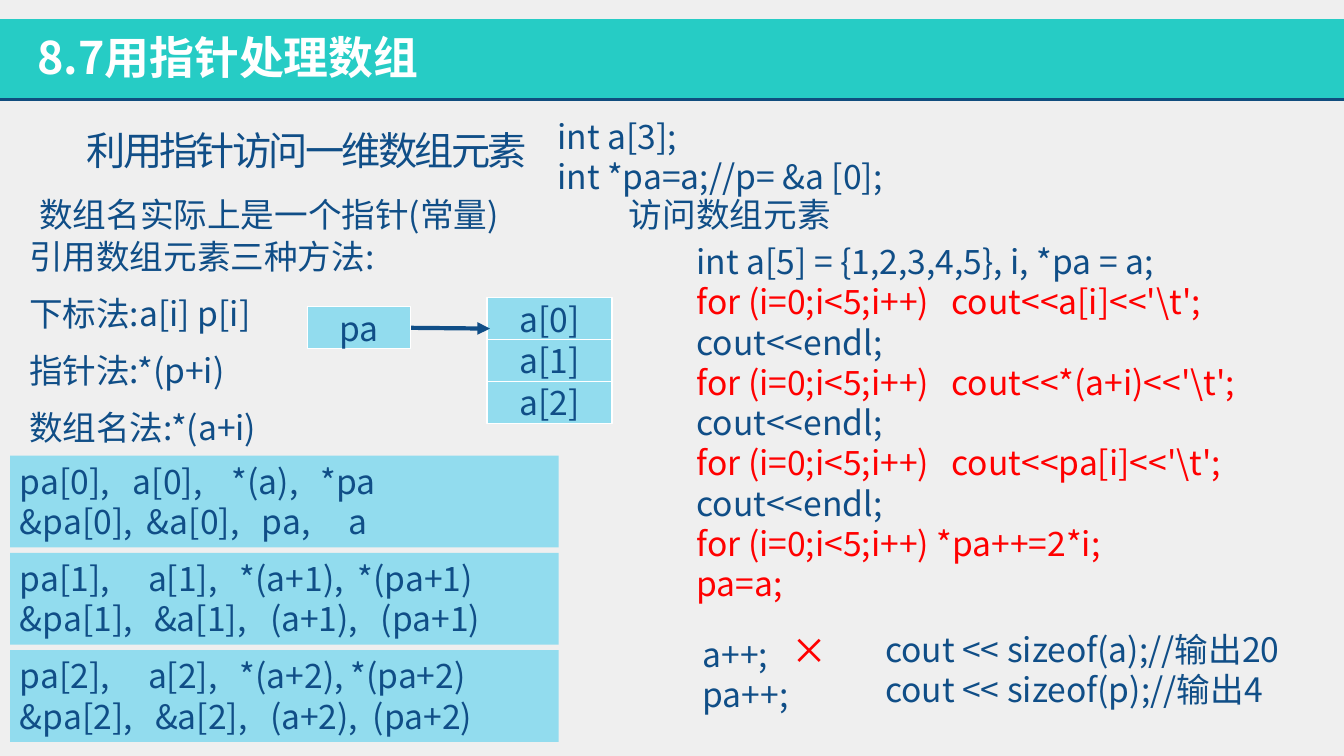
from dataclasses import dataclass

from lxml import etree
from pptx import Presentation
from pptx.dml.color import RGBColor
from pptx.enum import shapes, text
from pptx.oxml import ns
from pptx.util import Inches, Pt

SANS = "Noto Sans CJK JP"
NAVY = "104E87"
RED = "FF0000"
WHITE = "FFFFFF"
SKY = "92DCEE"


@dataclass
class Line:
    words: str
    color: str = NAVY
    tabs: tuple[float, ...] = ()
    before: float = 0
    after: float = 0


@dataclass
class Block:
    left: float
    top: float
    width: float
    height: float
    lines: list[Line]
    fill: str = ""
    border: str = ""
    centered: bool = False
    size: float = 24
    font: str = SANS
    bold: bool = False
    indent: float = 0
    spacing: int = 0


def rgb(value: str) -> RGBColor:
    return RGBColor.from_string(value)


def write_line(paragraph, line: Line, block: Block) -> None:
    paragraph.text = line.words
    properties = paragraph._p.get_or_add_pPr()
    if block.indent:
        properties.set("marL", str(Inches(block.indent)))
        properties.set("indent", "0")
    if line.tabs:
        stops = etree.SubElement(properties, ns.qn("a:tabLst"))
        for stop in line.tabs:
            etree.SubElement(stops, ns.qn("a:tab"), pos=str(Inches(stop)), algn="l")
    paragraph.alignment = text.PP_ALIGN.CENTER if block.centered else text.PP_ALIGN.LEFT
    if line.before:
        paragraph.space_before = Pt(line.before)
    if line.after:
        paragraph.space_after = Pt(line.after)
    paragraph.font.size = Pt(block.size)
    paragraph.font.bold = block.bold
    paragraph.font.color.rgb = rgb(line.color)
    paragraph.font.name = block.font
    defaults = properties.find(ns.qn("a:defRPr"))
    etree.SubElement(defaults, ns.qn("a:ea"), typeface=block.font)
    if block.spacing:
        defaults.set("spc", str(block.spacing))


def draw_block(slide, block: Block) -> None:
    place = [Inches(n) for n in (block.left, block.top, block.width, block.height)]
    if block.fill:
        shape = slide.shapes.add_shape(shapes.MSO_SHAPE.RECTANGLE, *place)
        shape.shadow.inherit = False
        shape.fill.solid()
        shape.fill.fore_color.rgb = rgb(block.fill)
        if block.border:
            shape.line.color.rgb = rgb(block.border)
            shape.line.width = Pt(1)
        else:
            shape.line.fill.background()
    else:
        shape = slide.shapes.add_textbox(*place)
    frame = shape.text_frame
    frame.word_wrap = not block.centered
    frame.vertical_anchor = text.MSO_ANCHOR.MIDDLE if block.centered else text.MSO_ANCHOR.TOP
    for index, line in enumerate(block.lines):
        paragraph = frame.add_paragraph() if index else frame.paragraphs[0]
        write_line(paragraph, line, block)


def draw_line(slide, start: tuple[float, float], end: tuple[float, float],
              color: str, width: float, arrow: bool = False) -> None:
    ends = [Inches(n) for n in (*start, *end)]
    connector = slide.shapes.add_connector(shapes.MSO_CONNECTOR.STRAIGHT, *ends)
    connector.line.color.rgb = rgb(color)
    connector.line.width = Pt(width)
    if arrow:
        etree.SubElement(connector.line._get_or_add_ln(), ns.qn("a:tailEnd"), type="triangle")
    etree.SubElement(connector._element.spPr, ns.qn("a:effectLst"))


def memory_cell(label: str, left: float, top: float, width: float) -> Block:
    return Block(left, top, width, 0.42, [Line(label)], SKY, WHITE, centered=True)


def main() -> None:
    deck = Presentation()
    deck.slide_width, deck.slide_height = Inches(13.33), Inches(7.5)
    slide = deck.slides.add_slide(deck.slide_layouts[6])
    slide.background.fill.solid()
    slide.background.fill.fore_color.rgb = rgb("EFEFEF")

    draw_block(slide, Block(0, 0.19, 13.33, 0.8, [], fill="26CCC5"))
    draw_line(slide, (0, 0.99), (13.33, 0.99), "104D7E", 2)

    headings = [
        Block(0.27, 0.25, 8.78, 0.64, [Line("8.7用指针处理数组", WHITE)], size=32, bold=True),
        Block(0.27, 1.2, 5.26, 0.57, [Line("利用指针访问一维数组元素")],
              size=28, font="Comic Neue", indent=0.49, spacing=-190),
        Block(0.29, 1.87, 5.52, 0.5, [Line("数组名实际上是一个指针(常量)")]),
        Block(5.43, 1.1, 5.9, 0.91, [Line("int a[3];"), Line("int *pa=a;//p= &a [0];")]),
    ]

    equivalents = [
        [Line("pa[0],\ta[0],\t*(a),\t*pa", tabs=(1.12, 2.1, 2.98)),
         Line("&pa[0],\t&a[0],\tpa,\ta", tabs=(1.26, 2.4, 3.26))],
        [Line("pa[1],\ta[1],\t*(a+1),\t*(pa+1)", tabs=(1.27, 2.18, 3.35)),
         Line("&pa[1],\t&a[1],\t(a+1),\t(pa+1)", tabs=(1.33, 2.48, 3.58))],
        [Line("pa[2],\ta[2],\t*(a+2),\t*(pa+2)", tabs=(1.27, 2.18, 3.28)),
         Line("&pa[2],\t&a[2],\t(a+2),\t(pa+2)", tabs=(1.34, 2.48, 3.5))],
    ]
    equivalent_blocks = [Block(0.1, 4.52 + 0.965 * row, 5.44, 0.91, lines, SKY)
                         for row, lines in enumerate(equivalents)]
    array_cells = [memory_cell(f"a[{index}]", 4.83, 2.95 + 0.415 * index, 1.24)
                   for index in reversed(range(3))]
    for block in headings + equivalent_blocks + array_cells:
        draw_block(slide, block)
    draw_line(slide, (3.84, 3.25), (4.86, 3.26), NAVY, 3, arrow=True)
    draw_block(slide, memory_cell("pa", 3.05, 3.04, 1.02))

    methods = ["引用数组元素三种方法:", "下标法:a[i] p[i]", "指针法:*(p+i)", "数组名法:*(a+i)"]
    code_tabs = (0.67, 3.2)
    program = [Line("访问数组元素"),
               Line("\tint a[5] = {1,2,3,4,5}, i, *pa = a;", tabs=code_tabs, before=5)]
    for element in ("a[i]", "*(a+i)", "pa[i]"):
        program += [Line(f"\tfor (i=0;i<5;i++)\tcout<<{element}<<'\\t';", RED, code_tabs),
                    Line("\tcout<<endl;", tabs=code_tabs)]
    program += [Line("\tfor (i=0;i<5;i++) *pa++=2*i;", RED, code_tabs),
                Line("\tpa=a;", RED, code_tabs)]

    notes = [
        Block(0.19, 2.29, 3.65, 2.22, [Line(method, after=12) for method in methods]),
        Block(6.14, 1.87, 7.16, 4.21, program),
        Block(6.87, 6.24, 1.28, 0.91, [Line("a++;"), Line("pa++;")]),
        Block(7.8, 6.19, 0.53, 0.5, [Line("✕", RED)], font="Times New Roman"),
        Block(8.68, 6.19, 4.47, 0.91,
              [Line("cout << sizeof(a);//输出20"), Line("cout << sizeof(p);//输出4")]),
    ]
    for block in notes:
        draw_block(slide, block)

    deck.save("out.pptx")


if __name__ == "__main__":
    main()
